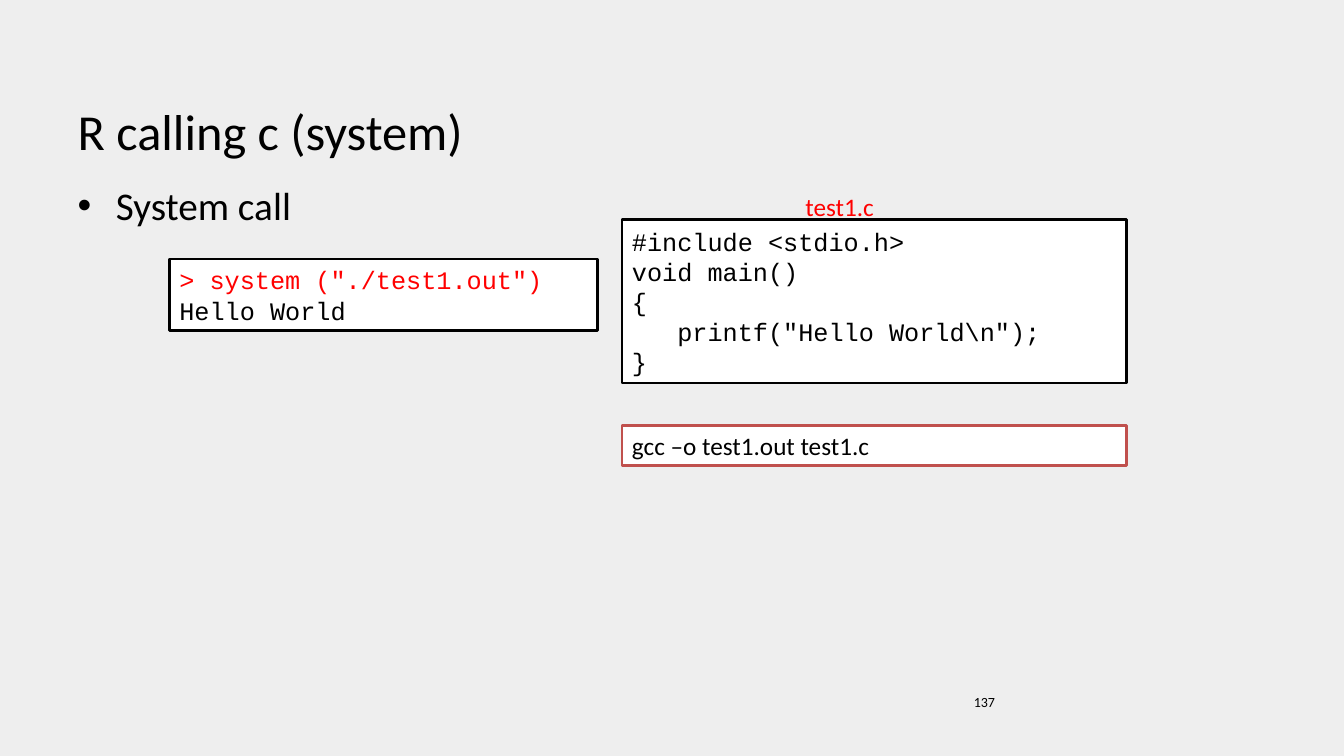
from pptx import Presentation
from pptx.dml.color import RGBColor
from pptx.enum.shapes import MSO_SHAPE
from pptx.enum.text import MSO_ANCHOR, PP_ALIGN
from pptx.util import Pt
from lxml import etree

PX = 9144  # 100 px to the inch
RECTANGLE = MSO_SHAPE.RECTANGLE
TOP, MIDDLE, BOTTOM = MSO_ANCHOR.TOP, MSO_ANCHOR.MIDDLE, MSO_ANCHOR.BOTTOM
LEFT = PP_ALIGN.LEFT
COLORS = {"background": "EEEEEE", "paper": "FFFFFF", "ink": "000000",
          "highlight": "FF0000", "command": "C0504D"}
BODY_FONT, CODE_FONT = "Calibri", "Courier New"
TITLE_AND_CONTENT = 1


def rgb(name):
    return RGBColor.from_string(COLORS[name])


def px(*lengths):
    return [length * PX for length in lengths]


def write(frame, text, size=18, font=BODY_FONT, color="ink", first_color=None,
          anchor=TOP, wrap=True):
    """Write one paragraph per line; first_color applies to the first line only."""
    frame.word_wrap = wrap
    frame.vertical_anchor = anchor
    for index, line in enumerate(text.split("\n")):
        paragraph = frame.paragraphs[0] if index == 0 else frame.add_paragraph()
        paragraph.alignment = LEFT
        paragraph.space_before = Pt(0)
        run = paragraph.add_run()
        run.text = line
        run.font.size = Pt(size)
        run.font.name = font
        run.font.color.rgb = rgb(first_color if first_color and index == 0 else color)


def move(placeholder, box):
    placeholder.left, placeholder.top, placeholder.width, placeholder.height = px(*box)


def add_bullet(paragraph, indent):
    properties = paragraph._p.get_or_add_pPr()
    properties.set("marL", str(indent * PX))
    properties.set("indent", str(-indent * PX))
    namespace = properties.nsmap["a"]
    etree.SubElement(properties, f"{{{namespace}}}buFont", typeface="Arial")
    etree.SubElement(properties, f"{{{namespace}}}buChar", char="•")


def add_label(slide, box, text, **text_format):
    label = slide.shapes.add_textbox(*px(*box))
    write(label.text_frame, text, **text_format)


def add_panel(slide, box, text, border="ink", **text_format):
    panel = slide.shapes.add_shape(RECTANGLE, *px(*box))
    panel.shadow.inherit = False
    panel.fill.solid()
    panel.fill.fore_color.rgb = rgb("paper")
    panel.line.color.rgb = rgb(border)
    panel.line.width = Pt(2)
    write(panel.text_frame, text, anchor=MIDDLE, **text_format)


def add_heading(slide, box):
    left, top, width, height = box
    title, body = slide.shapes.title, slide.placeholders[1]
    move(title, (left, top, width, 125))
    write(title.text_frame, "R calling c (system)", size=36, anchor=BOTTOM)
    move(body, (left, top + 136, width, height - 136))
    write(body.text_frame, "System call", size=28)
    add_bullet(body.text_frame.paragraphs[0], 38)


def add_c_program(slide, box):
    """Place the file name, its source code and the compile command."""
    left, top, width, height = box
    add_label(slide, (left + 172, top, 90, 40), "test1.c", color="highlight", wrap=False)
    source = '#include <stdio.h>\nvoid main()\n{\n   printf("Hello World\\n");\n}'
    add_panel(slide, (left, top + 33, width, 162), source, font=CODE_FONT)
    add_panel(slide, (left, top + height - 40, width, 40),
              "gcc –o test1.out test1.c", border="command")


def add_r_session(slide, box):
    add_panel(slide, box, '> system ("./test1.out")\nHello World',
              font=CODE_FONT, first_color="highlight")


def main():
    presentation = Presentation()
    presentation.slide_width, presentation.slide_height = px(1333, 750)
    slide = presentation.slides.add_slide(presentation.slide_layouts[TITLE_AND_CONTENT])
    slide.background.fill.solid()
    slide.background.fill.fore_color.rgb = rgb("background")
    add_heading(slide, (67, 39, 1200, 631))
    add_label(slide, (956, 683, 311, 52), "137", size=10)
    add_c_program(slide, (617, 185, 500, 277))
    add_r_session(slide, (168, 257, 425, 71))
    presentation.save("out.pptx")


if __name__ == "__main__":
    main()
